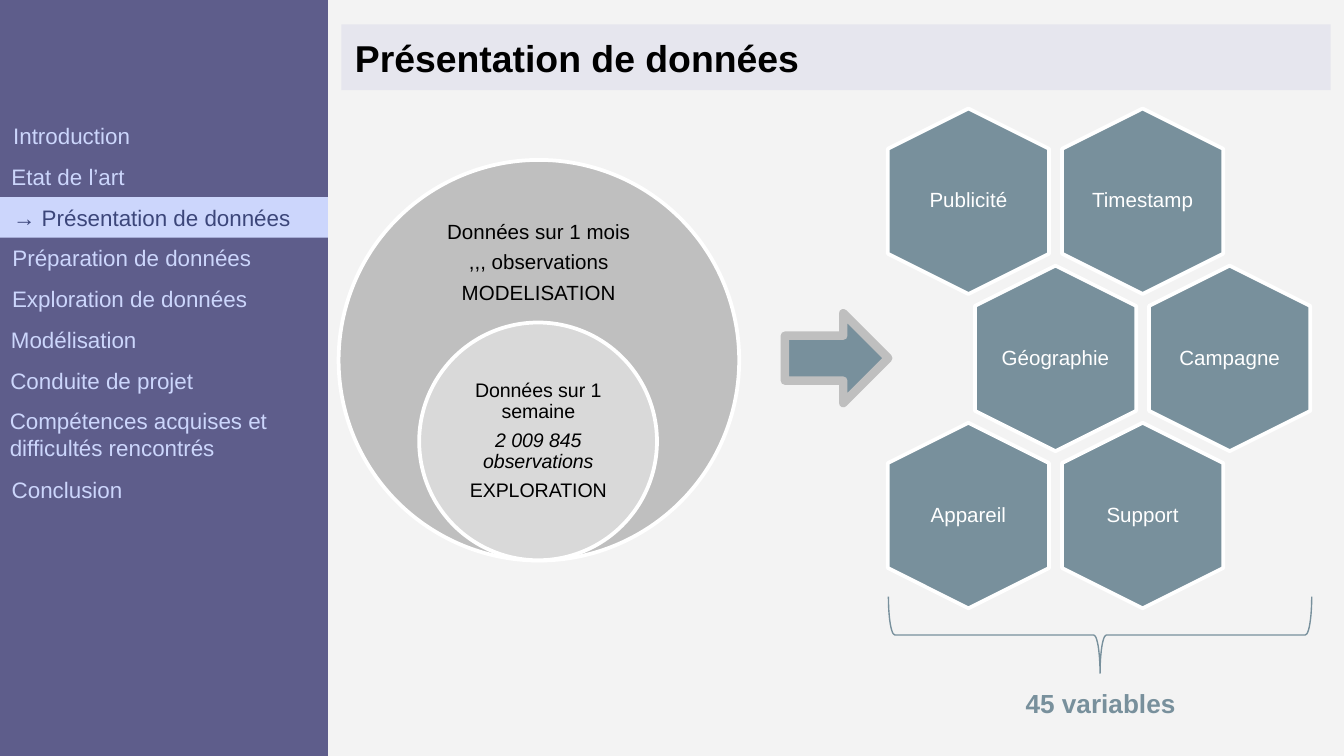
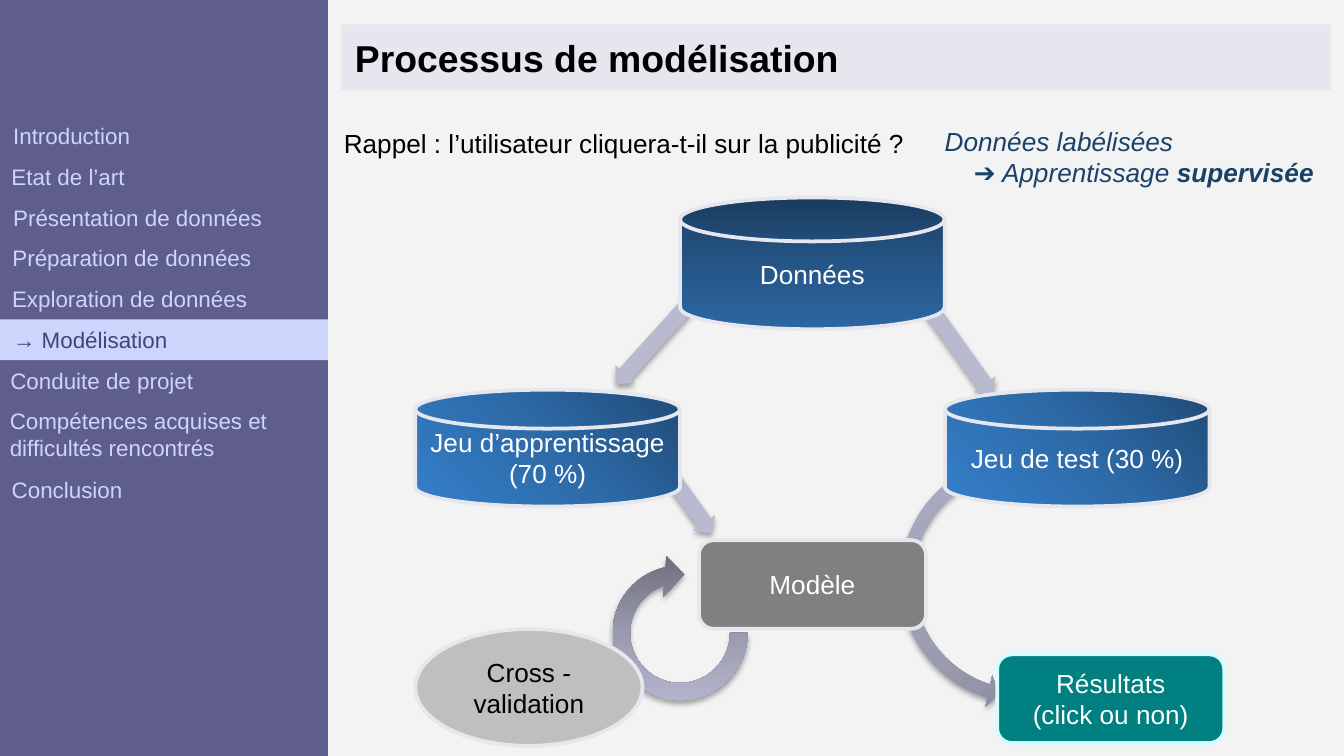
from pptx import Presentation
from pptx.dml.color import RGBColor
from pptx.enum.shapes import MSO_SHAPE
from pptx.enum.text import MSO_ANCHOR, MSO_AUTO_SIZE, PP_ALIGN
from pptx.oxml import parse_xml
from pptx.oxml.ns import nsdecls, qn
from pptx.util import Pt

BACKGROUND, BAND, SIDEBAR = "F3F3F3", "E6E6EE", "5E5D8B"
MENU_TEXT, MENU_ACTIVE = "CCD6FC", "3C467A"
SLATE, SILVER, PALE_GREY = "78909C", "BFBFBF", "D9D9D9"
WHITE, BLACK, NAVY = "FFFFFF", "000000", "1A416A"
LILAC, TEAL, PALE_TEAL, GREY = "B9B9CF", "008080", "D5FFFF", "808080"

SIDEBAR_WIDTH = 175.7
MENU_TOP, MENU_PITCH, MENU_ROW = 61.9, 21.84, 21.8
MENU = [  # label, left edge, extra gap above
    ("Introduction", 0, 0),
    ("Etat de l’art", -0.9, 0),
    ("Présentation de données", 0, 0),
    ("Préparation de données", -0.4, 0),
    ("Exploration de données", -0.6, 0),
    ("Modélisation", -1.2, 0),
    ("Conduite de projet", -1.5, 0),
    ("Compétences acquises et difficultés rencontrés", -1.8, 0),
    ("Conclusion", -0.8, 14.7),
]

LINEAR = '<a:lin ang="{}" scaled="0"/>'
RADIAL = '<a:path path="circle"><a:fillToRect l="100000" t="100000"/></a:path>'
DATA_GRADIENT = (("1A3C5F", "255687", "2B66A1"), LINEAR.format(90 * 60000))
SET_GRADIENT = (("204B77", "2D6BA9", "357FC9"), LINEAR.format(135 * 60000))
LOOP_COLORS = ("6D6D7C", "9B9BB0", "B7B7D1")
LOOP_GRADIENT = (LOOP_COLORS, LINEAR.format(270 * 60000))
CURVE_GRADIENT = (LOOP_COLORS, RADIAL)


def rgb(color):
    return RGBColor.from_string(color)


def style_font(font, color, **values):
    """Set the font attributes given by name, Arial unless stated."""
    for name, value in {"name": "Arial", **values}.items():
        setattr(font, name, Pt(value) if name == "size" else value)
    font.color.rgb = rgb(color)


def write(shape, paragraphs, size, color, align=PP_ALIGN.LEFT,
          anchor=MSO_ANCHOR.TOP, insets=(7.2, 3.6), wrap=True, bold=None,
          spacing=None, gap=0):
    """Fill a shape with paragraphs, each a string or a list of (text, font values)."""
    frame = shape.text_frame
    horizontal, vertical = (Pt(inset) for inset in insets)
    frame_format = {
        "auto_size": MSO_AUTO_SIZE.NONE, "word_wrap": wrap,
        "vertical_anchor": anchor,
        "margin_left": horizontal, "margin_right": horizontal,
        "margin_top": vertical, "margin_bottom": vertical,
    }
    for name, value in frame_format.items():
        setattr(frame, name, value)
    for index, content in enumerate(paragraphs):
        paragraph = frame.add_paragraph() if index else frame.paragraphs[0]
        paragraph.alignment = align
        if spacing:
            paragraph.line_spacing = spacing
            paragraph.space_after = Pt(gap)
        runs = [(content, {})] if isinstance(content, str) else content
        for text, values in runs:
            run = paragraph.add_run()
            run.text = text
            style_font(run.font, color, size=size, bold=bold)
            for name, value in values.items():
                setattr(run.font, name, value)
    return frame


def add_text(shapes, box, paragraphs, size, color, **layout):
    shape = shapes.add_textbox(*(Pt(length) for length in box))
    return write(shape, paragraphs, size, color, **layout)


def set_gradient(shape, colors, direction):
    shape.fill.gradient()
    stops = "".join(
        f'<a:gs pos="{index * 50000}"><a:srgbClr val="{color}"/></a:gs>'
        for index, color in enumerate(colors))
    properties = shape._element.spPr
    properties.replace(properties.find(qn("a:gradFill")), parse_xml(
        f'<a:gradFill {nsdecls("a")} rotWithShape="1">'
        f'<a:gsLst>{stops}</a:gsLst>{direction}</a:gradFill>'))


def add_shadow(shape):
    shape._element.spPr.find(qn("a:effectLst")).append(parse_xml(
        f'<a:outerShdw {nsdecls("a")} blurRad="{Pt(3.1)}" dist="{Pt(1.8)}" '
        'dir="5400000" rotWithShape="0"><a:srgbClr val="000000">'
        '<a:alpha val="35000"/></a:srgbClr></a:outerShdw>'))


def add_figure(shapes, kind, box, fill=None, line=None, rotation=0,
               adjustments=(), shadow=False):
    """Add a preset shape; fill is a colour or a gradient, line is (colour, width)."""
    shape = shapes.add_shape(kind, *(Pt(length) for length in box))
    shape.shadow.inherit = False
    shape.rotation = rotation
    for index, value in enumerate(adjustments):
        shape.adjustments[index] = value
    if fill is None:
        shape.fill.background()
    elif isinstance(fill, str):
        shape.fill.solid()
        shape.fill.fore_color.rgb = rgb(fill)
    else:
        set_gradient(shape, *fill)
    if line:
        shape.line.color.rgb = rgb(line[0])
        shape.line.width = Pt(line[1])
    else:
        shape.line.fill.background()
    if shadow:
        add_shadow(shape)
    return shape


def add_node(shapes, kind, box, paragraphs, fill, line=BAND, color=WHITE):
    """Add an outlined shape with centred text."""
    shape = add_figure(shapes, kind, box, fill, (line, 2))
    write(shape, paragraphs, 14, color, align=PP_ALIGN.CENTER,
          anchor=MSO_ANCHOR.MIDDLE)


def add_title(slide, text):
    """Turn the title placeholder into the arrow-shaped band."""
    title = slide.shapes.title
    box = {"left": 182.9, "top": 13, "width": 529.9, "height": 35.3}
    for name, value in box.items():
        setattr(title, name, Pt(value))
    title._element.spPr.append(parse_xml(
        f'<a:prstGeom {nsdecls("a")} prst="homePlate"><a:avLst/></a:prstGeom>'))
    title.fill.solid()
    title.fill.fore_color.rgb = rgb(BAND)
    write(title, [text], 20, BLACK, anchor=MSO_ANCHOR.MIDDLE,
          insets=(7.2, 7.2), bold=True)


def add_menu(shapes, active):
    add_figure(shapes, MSO_SHAPE.RECTANGLE, (0, 0, SIDEBAR_WIDTH, 405), SIDEBAR)
    for row, (label, left, gap) in enumerate(MENU):
        top = MENU_TOP + row * MENU_PITCH + gap
        if label == active:
            marker = add_figure(shapes, MSO_SHAPE.RECTANGLE,
                                (0, top, SIDEBAR_WIDTH, MENU_ROW), MENU_TEXT)
            write(marker, [f"→ {label}"], 12, MENU_ACTIVE)
        else:
            add_text(shapes, (left, top, SIDEBAR_WIDTH, MENU_ROW), [label],
                     12, MENU_TEXT)


def add_diagram_label(shapes, box, paragraphs, size, color, inset):
    add_text(shapes, box, paragraphs, size, color, align=PP_ALIGN.CENTER,
             anchor=MSO_ANCHOR.MIDDLE, insets=(inset, inset),
             spacing=0.9, gap=round(size * 0.4, 1))


def add_nested_circles(slide):
    shapes = slide.shapes.add_group_shape().shapes
    outline = (WHITE, 2)
    add_figure(shapes, MSO_SHAPE.OVAL, (181.4, 85.7, 214.6, 214.6), SILVER, outline)
    add_diagram_label(
        shapes, (232.5, 111, 112.3, 60),
        ["Données sur 1 mois", ",,, observations", "MODELISATION"], 11, BLACK, 3.6)
    add_figure(shapes, MSO_SHAPE.OVAL, (224.6, 172.8, 127.4, 127.4),
               PALE_GREY, outline)
    add_diagram_label(
        shapes, (243.4, 204.5, 90, 64),
        ["Données sur 1 semaine", [("2 009 845 observations", {"italic": True})],
         "EXPLORATION"], 10.5, BLACK, 6.5)


def add_honeycomb(slide):
    """Stack rows of upright hexagons, every second row shifted by half a cell."""
    shapes = slide.shapes.add_group_shape().shapes
    rows = [("Publicité", "Timestamp"), ("Géographie", "Campagne"),
            ("Appareil", "Support")]
    length, breadth, pitch = 99.4, 86.4, 93.3
    for row, labels in enumerate(rows):
        for column, label in enumerate(labels):
            x = 518.8 + (column + row % 2 / 2) * pitch
            y = 107.8 + row * 84.2
            add_figure(shapes, MSO_SHAPE.HEXAGON,
                       (x - length / 2, y - breadth / 2, length, breadth),
                       SLATE, (WHITE, 2), rotation=90)
            add_diagram_label(shapes, (x - 30, y - 34, 60, 68), [label],
                              11, WHITE, 0)


def add_data_slide(slide):
    shapes = slide.shapes
    add_nested_circles(slide)
    add_honeycomb(slide)
    add_figure(shapes, MSO_SHAPE.RIGHT_ARROW, (420.5, 167.8, 55.4, 48.2),
               SLATE, (SILVER, 4.5))
    add_figure(shapes, MSO_SHAPE.RIGHT_BRACE, (568.8, 226.8, 41, 226.8),
               line=(SLATE, 0.75), rotation=90)
    add_text(shapes, (501.8, 365, 175.7, 24.5), ["45 variables"], 14, SLATE,
             align=PP_ALIGN.CENTER, bold=True)


def add_flow_arrows(shapes):
    for left, top, length, rotation in [(347.8, 261.4, 42.5, 54.5),
                                        (464.4, 169.9, 85, 54.5),
                                        (316.1, 167, 85, 132.1)]:
        add_figure(shapes, MSO_SHAPE.RIGHT_ARROW, (left, top, length, 14.4), LILAC,
                   rotation=rotation, adjustments=(0.6, 0.5), shadow=True)
    curve = add_figure(shapes, MSO_SHAPE.CIRCULAR_ARROW, (477.4, 239.8, 141.8, 141.8),
                       CURVE_GRADIENT, rotation=328.7, shadow=True,
                       adjustments=(0.05, 2.99, 24.87, 159.26, 0.06))
    curve._element.spPr.find(qn("a:xfrm")).set("flipH", "1")
    add_figure(shapes, MSO_SHAPE.CIRCULAR_ARROW, (321.8, 296.6, 85, 85),
               LOOP_GRADIENT, rotation=180, shadow=True,
               adjustments=(0.11, 11.42, 45, 108, 0.13))


def add_process_slide(slide):
    shapes = slide.shapes
    add_flow_arrows(shapes)
    disk, box = MSO_SHAPE.FLOWCHART_MAGNETIC_DISK, MSO_SHAPE.ROUNDED_RECTANGLE
    add_node(shapes, disk, (364.3, 105.8, 141.8, 70.6), ["Données"], DATA_GRADIENT)
    add_node(shapes, disk, (222.5, 208.8, 141.8, 62.6),
             ["Jeu d’apprentissage (70 %)"], SET_GRADIENT)
    add_node(shapes, disk, (506.2, 208.8, 141.8, 62.6),
             ["Jeu de test (30 %)"], SET_GRADIENT)
    add_node(shapes, box, (374.4, 289.4, 121.7, 47.5), ["Modèle"], GREY)
    add_node(shapes, box, (534.2, 350.6, 121.7, 47.5),
             ["Résultats", "(click ou non)"], TEAL, PALE_TEAL)
    add_node(shapes, MSO_SHAPE.OVAL, (222.5, 337, 121.7, 62.6),
             ["Cross - validation"], SILVER, color=BLACK)
    add_text(shapes, (177.1, 64.8, 316, 24.5),
             ["Rappel : l’utilisateur cliquera-t-il sur la publicité ?"],
             14, BLACK, wrap=False)
    italic = {"italic": True}
    frame = add_text(
        shapes, (499, 63.4, 221, 41),
        [[("Données labélisées", italic)],
         [("➔ Apprentissage ", italic), ("supervisée", {**italic, "bold": True})]],
        14, NAVY)
    frame.paragraphs[1]._p.get_or_add_pPr().set("marL", str(Pt(15.6)))


def main():
    presentation = Presentation()
    presentation.slide_width, presentation.slide_height = Pt(720), Pt(405)
    background = presentation.slide_master.background.fill
    background.solid()
    background.fore_color.rgb = rgb(BACKGROUND)
    title_only = presentation.slide_layouts[5]
    for title, section, add_content in [
            ("Présentation de données", "Présentation de données", add_data_slide),
            ("Processus de modélisation", "Modélisation", add_process_slide)]:
        slide = presentation.slides.add_slide(title_only)
        add_title(slide, title)
        add_menu(slide.shapes, section)
        add_content(slide)
    presentation.save("out.pptx")


if __name__ == "__main__":
    main()
